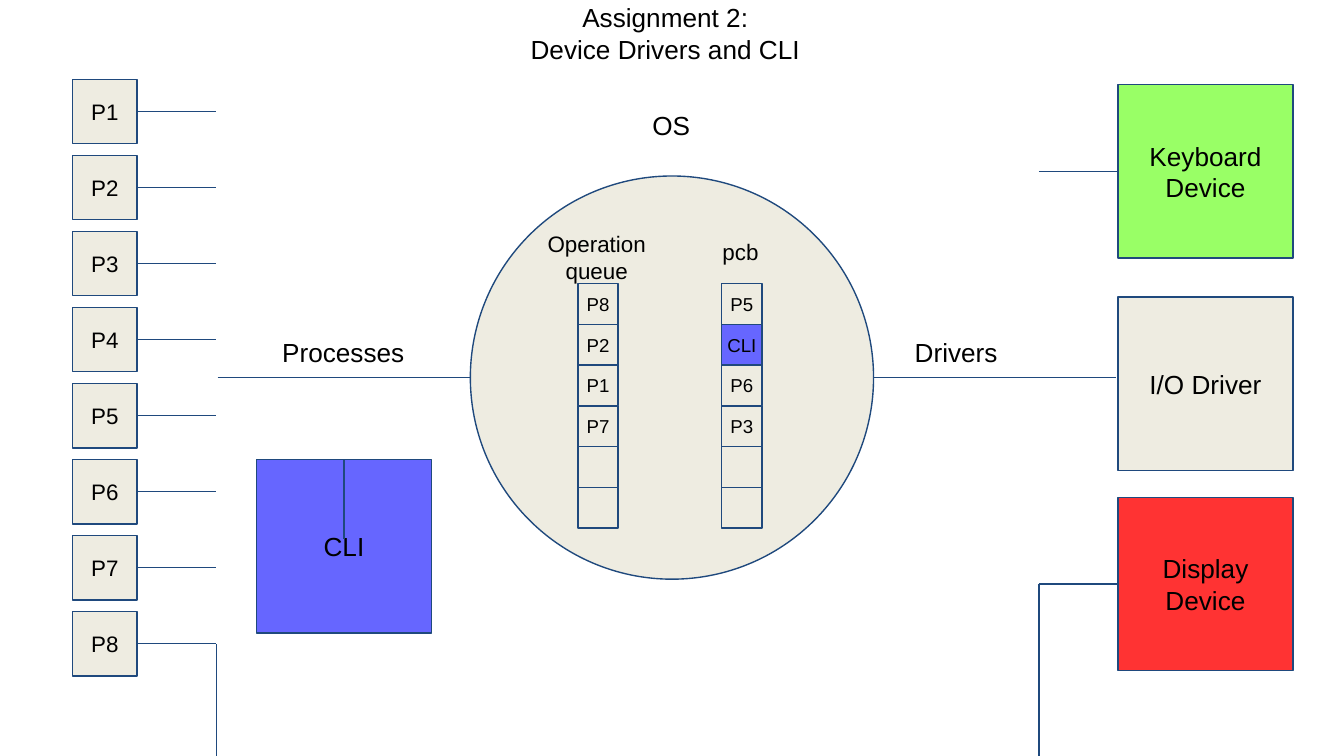
import pptx
import pptx.util
import pptx.dml.color
import pptx.enum.shapes
import pptx.enum.text
import pptx.oxml.ns
import lxml.etree

Inches = pptx.util.Inches
SHAPE = pptx.enum.shapes.MSO_SHAPE

SLIDE_W = 10
SLIDE_H = SLIDE_W * 9 / 16
COLORS = {
    "text": "000000",
    "outline": "1F497D",
    "neutral": "EEECE1",
    "cli": "6666FF",
    "keyboard": "99FF66",
    "display": "FF3333",
}


def rgb(name):
    return pptx.dml.color.RGBColor.from_string(COLORS[name])


def write(shape, text, size, inset=0):
    """Centre one paragraph per line of text in the shape."""
    frame = shape.text_frame
    frame.text = text
    frame.word_wrap = True
    frame.auto_size = pptx.enum.text.MSO_AUTO_SIZE.NONE
    frame.vertical_anchor = pptx.enum.text.MSO_ANCHOR.MIDDLE
    frame.margin_left = frame.margin_right = Inches(inset)
    frame.margin_top = frame.margin_bottom = 0
    for paragraph in frame.paragraphs:
        paragraph.alignment = pptx.enum.text.PP_ALIGN.CENTER
        paragraph.font.name = "Arial"
        paragraph.font.size = pptx.util.Pt(size)
        paragraph.font.color.rgb = rgb("text")


def add_label(slide, box, text, size=14):
    write(slide.shapes.add_textbox(*map(Inches, box)), text, size)


def add_node(slide, box, text="", size=14, color="neutral",
             kind=SHAPE.RECTANGLE, inset=0):
    node = slide.shapes.add_shape(kind, *map(Inches, box))
    node.shadow.inherit = False
    node.fill.solid()
    node.fill.fore_color.rgb = rgb(color)
    node.line.color.rgb = rgb("outline")
    node.line.width = pptx.util.Pt(0.75)
    if text:
        write(node, text, size, inset)
    return node


def add_link(slide, start, end):
    link = slide.shapes.add_connector(
        pptx.enum.shapes.MSO_CONNECTOR.STRAIGHT, *map(Inches, start + end))
    link.line.color.rgb = rgb("outline")
    link.line.width = pptx.util.Pt(0.75)
    lxml.etree.SubElement(link._element.spPr, pptx.oxml.ns.qn("a:effectLst"))
    return link


def add_title(slide, box):
    title = slide.shapes.title
    title.left, title.top, title.width, title.height = map(Inches, box)
    write(title, "Assignment 2:\nDevice Drivers and CLI", 14)


def add_queue(slide, box, entries):
    left, top, width, height = box
    cell_height = height / len(entries)
    for row, entry in enumerate(entries):
        add_node(slide, (left, top + row * cell_height, width, cell_height),
                 entry, 10, "cli" if entry == "CLI" else "neutral")


def add_os(slide, box):
    left, top, width, height = box
    add_node(slide, box, kind=SHAPE.OVAL)
    add_label(slide, (left + 1.13, top - 0.63, 0.73, 0.5), "OS")

    # Operation queue and process control blocks
    add_label(slide, (left + 0.44, top + 0.3, 1, 0.6), "Operation\nqueue", 12)
    add_label(slide, (left + 1.77, top + 0.36, 0.48, 0.41), "pcb", 12)
    add_queue(slide, (left + 0.8, top + 0.8, 0.3, 1.82),
              ["P8", "P2", "P1", "P7", "", ""])
    add_queue(slide, (left + 1.87, top + 0.8, 0.3, 1.82),
              ["P5", "CLI", "P6", "P3", "", ""])

    # Links to processes and drivers
    middle = top + height / 2
    right = left + width
    add_link(slide, (left - 1.88, middle), (left, middle))
    add_link(slide, (right, middle), (right + 1.8, middle))
    add_label(slide, (left - 1.53, middle - 0.28, 1.17, 0.18), "Processes")
    add_label(slide, (right + 0.03, middle - 0.28, 1.17, 0.18), "Drivers")


def add_processes(slide, box, count=8):
    left, top, size, height = box
    pitch = (height - size) / (count - 1)
    bus = left + size + 0.59
    for index in range(count):
        y = top + index * pitch
        process = add_node(slide, (left, y, size, size), f"P{index + 1}", 12)
        middle = y + size / 2
        link = add_link(slide, (left + size, middle), (bus, middle))
        link.begin_connect(process, 3)
    # Bus from the last process down to the slide edge
    add_link(slide, (bus, SLIDE_H), (bus, middle))


def add_cli(slide, box):
    left, top, width, height = box
    cli = add_node(slide, box, "CLI", color="cli")
    center = left + width / 2
    link = add_link(slide, (center, top + 0.59), (center, top))
    link.end_connect(cli, 0)


def add_devices(slide, box):
    left, top, width, height = box
    device_height = 1.29
    bus = left - 0.59
    devices = [
        ("Keyboard Device", "keyboard", 0, True),
        ("I/O Driver", "neutral", 1.58, False),
        ("Display Device", "display", height - device_height, True),
    ]
    for name, color, offset, linked in devices:
        y = top + offset
        device = add_node(slide, (left, y, width, device_height), name,
                          color=color, inset=0.15)
        middle = y + device_height / 2
        if linked:
            link = add_link(slide, (bus, middle), (left, middle))
            link.end_connect(device, 1)
    # Bus from the display down to the slide edge
    add_link(slide, (bus, SLIDE_H), (bus, middle))


def main():
    deck = pptx.Presentation()
    deck.slide_width, deck.slide_height = Inches(SLIDE_W), Inches(SLIDE_H)
    slide = deck.slides.add_slide(deck.slide_layouts[5])
    add_title(slide, (2.9, 0, 4.1, 0.49))
    add_os(slide, (3.5, 1.31, 3, 3))
    add_processes(slide, (0.54, 0.59, 0.48, 4.44))
    add_devices(slide, (8.32, 0.63, 1.3, 4.36))
    add_cli(slide, (1.91, 3.42, 1.3, 1.29))
    deck.save("out.pptx")


if __name__ == "__main__":
    main()
